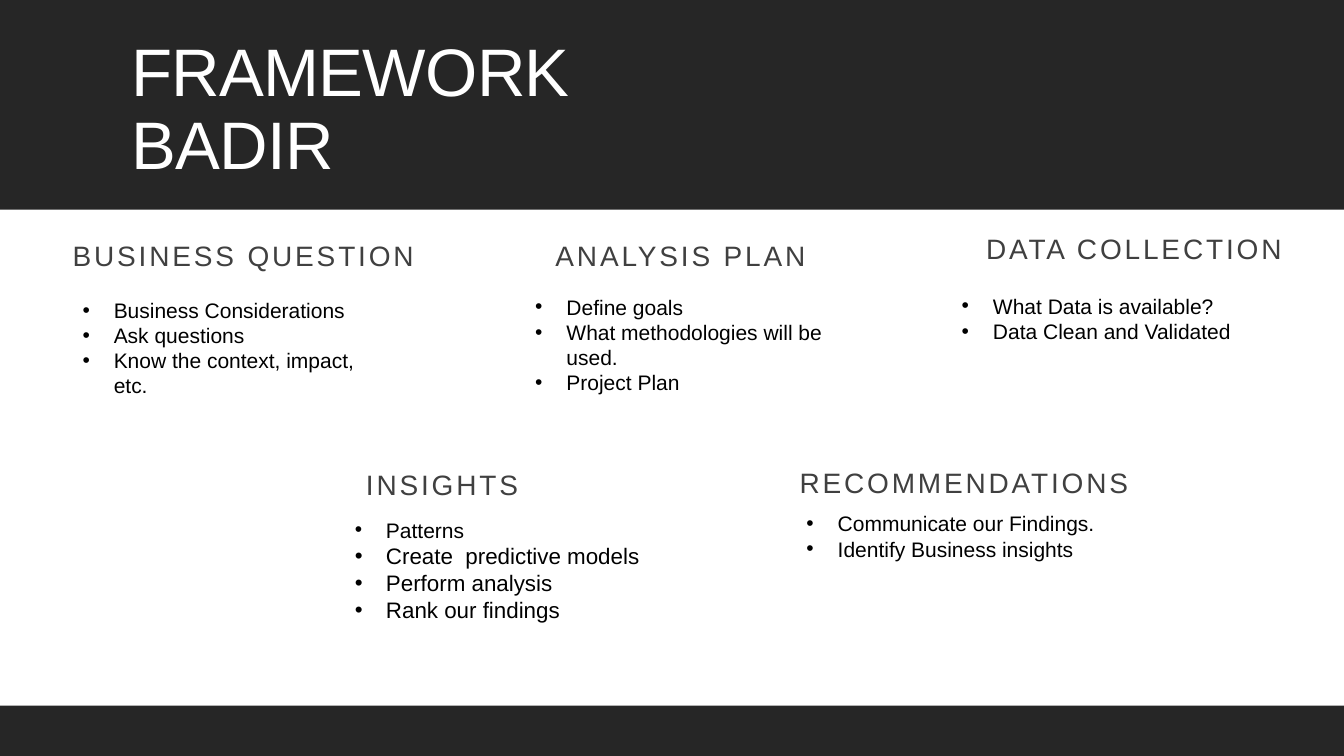
from dataclasses import dataclass

from lxml import etree
from pptx import Presentation
from pptx.dml.color import RGBColor
from pptx.enum.shapes import MSO_SHAPE as SHAPE
from pptx.enum.text import MSO_ANCHOR as ANCHOR, MSO_AUTO_SIZE as AUTO, PP_ALIGN as ALIGN
from pptx.oxml.ns import qn
from pptx.util import Inches, Pt


@dataclass(frozen=True)
class Theme:
    font: str = "Arial"
    white: str = "FFFFFF"
    band: str = "262626"
    heading: str = "404040"
    text: str = "000000"
    title_size: int = 48
    heading_size: int = 20
    list_size: int = 15
    large_list_size: int = 16


THEME = Theme()
SLIDE_W, SLIDE_H = 13.33, 7.5
HEADING_W, HEADING_H = 3.77, 0.52
LIST_W, INDENT = 3.18, 0.31

# heading, heading position, list position and height, list items
STEPS = [
    ("BUSINESS QUESTION", (0.72, 2.32), (0.72, 2.9, 1.11),
     ["Business Considerations", "Ask questions", "Know the context, impact, etc."]),
    ("ANALYSIS PLAN", (5.51, 2.32), (5.21, 2.87, 1.36),
     ["Define goals", "What methodologies will be used.", "Project Plan"]),
    ("DATA COLLECTION", (9.78, 2.25), (9.44, 2.86, 0.86),
     ["What Data is available?", "Data Clean and Validated"]),
    ("INSIGHTS", (3.63, 4.59), (3.42, 5.08, 1.99),
     ["Patterns", "Create  predictive models", "Perform analysis", "Rank our findings"]),
    ("RECOMMENDATIONS", (7.93, 4.57), (7.9, 5.02, 0.86),
     ["Communicate our Findings.", "Identify Business insights"]),
]
LARGE_ITEMS = {"Create  predictive models", "Perform analysis", "Rank our findings"}


def place(s, left, top, width, height):
    s.left, s.top = Inches(left), Inches(top)
    s.width, s.height = Inches(width), Inches(height)


def add_run(p, text, size, color, spacing=0):
    """Add a run; spacing is the tracking in points."""
    r = p.add_run()
    r.text = text
    r.font.name = THEME.font
    r.font.size = Pt(size)
    r.font.color.rgb = RGBColor.from_string(color)
    if spacing:
        r.font._element.set("spc", str(int(spacing * 100)))


def add_band(slide, top, height, color):
    """Add a full-width band behind the title."""
    s = slide.shapes.add_shape(SHAPE.RECTANGLE, 0, Inches(top), Inches(SLIDE_W), Inches(height))
    s.shadow.inherit = False
    s.fill.solid()
    s.fill.fore_color.rgb = RGBColor.from_string(color)
    s.line.fill.background()
    slide.shapes.title._element.addprevious(s._element)


def fill_title(title, lines):
    place(title, 1.2, 0.31, 11, 1.59)
    tf = title.text_frame
    tf.word_wrap = True
    tf.auto_size = AUTO.NONE
    tf.vertical_anchor = ANCHOR.MIDDLE
    p = tf.paragraphs[0]
    p.alignment = ALIGN.LEFT
    p.line_spacing = 0.9
    for i, line in enumerate(lines):
        if i:
            p.add_line_break()
        add_run(p, line, THEME.title_size, THEME.white, -0.5)


def fill_heading(s, text, left, top):
    place(s, left, top, min(HEADING_W, SLIDE_W - left), HEADING_H)
    tf = s.text_frame
    tf.word_wrap = True
    tf.auto_size = AUTO.NONE
    tf.vertical_anchor = ANCHOR.TOP
    tf.margin_left = tf.margin_right = 0
    p = tf.paragraphs[0]
    p.alignment = ALIGN.LEFT
    p.space_before, p.space_after = Pt(0), Pt(2)
    add_run(p, text, THEME.heading_size, THEME.heading, 2)


def set_bullet(p):
    pPr = p._p.get_or_add_pPr()
    pPr.set("marL", str(Inches(INDENT)))
    pPr.set("indent", str(-Inches(INDENT)))
    etree.SubElement(pPr, qn("a:buFont"), typeface=THEME.font)
    etree.SubElement(pPr, qn("a:buChar"), char="•")


def add_list(slide, items, left, top, height):
    s = slide.shapes.add_textbox(Inches(left), Inches(top), Inches(LIST_W), Inches(height))
    tf = s.text_frame
    tf.word_wrap = True
    tf.auto_size = AUTO.SHAPE_TO_FIT_TEXT
    for i, item in enumerate(items):
        p = tf.add_paragraph() if i else tf.paragraphs[0]
        set_bullet(p)
        size = THEME.large_list_size if item in LARGE_ITEMS else THEME.list_size
        add_run(p, item, size, THEME.text)


def main():
    prs = Presentation()
    prs.slide_width, prs.slide_height = Inches(SLIDE_W), Inches(SLIDE_H)
    slide = prs.slides.add_slide(prs.slide_layouts[0])

    # Background, header and footer
    add_band(slide, 0, SLIDE_H, THEME.white)
    add_band(slide, 0, 2.08, THEME.band)
    add_band(slide, 7, 0.5, THEME.band)
    fill_title(slide.shapes.title, ["FRAMEWORK", "BADIR"])

    # The five steps; the first heading sits in the subtitle placeholder
    for i, (heading, heading_at, list_at, items) in enumerate(STEPS):
        s = slide.shapes.add_textbox(0, 0, 0, 0) if i else slide.placeholders[1]
        fill_heading(s, heading, *heading_at)
        add_list(slide, items, *list_at)

    prs.save("out.pptx")


if __name__ == "__main__":
    main()
